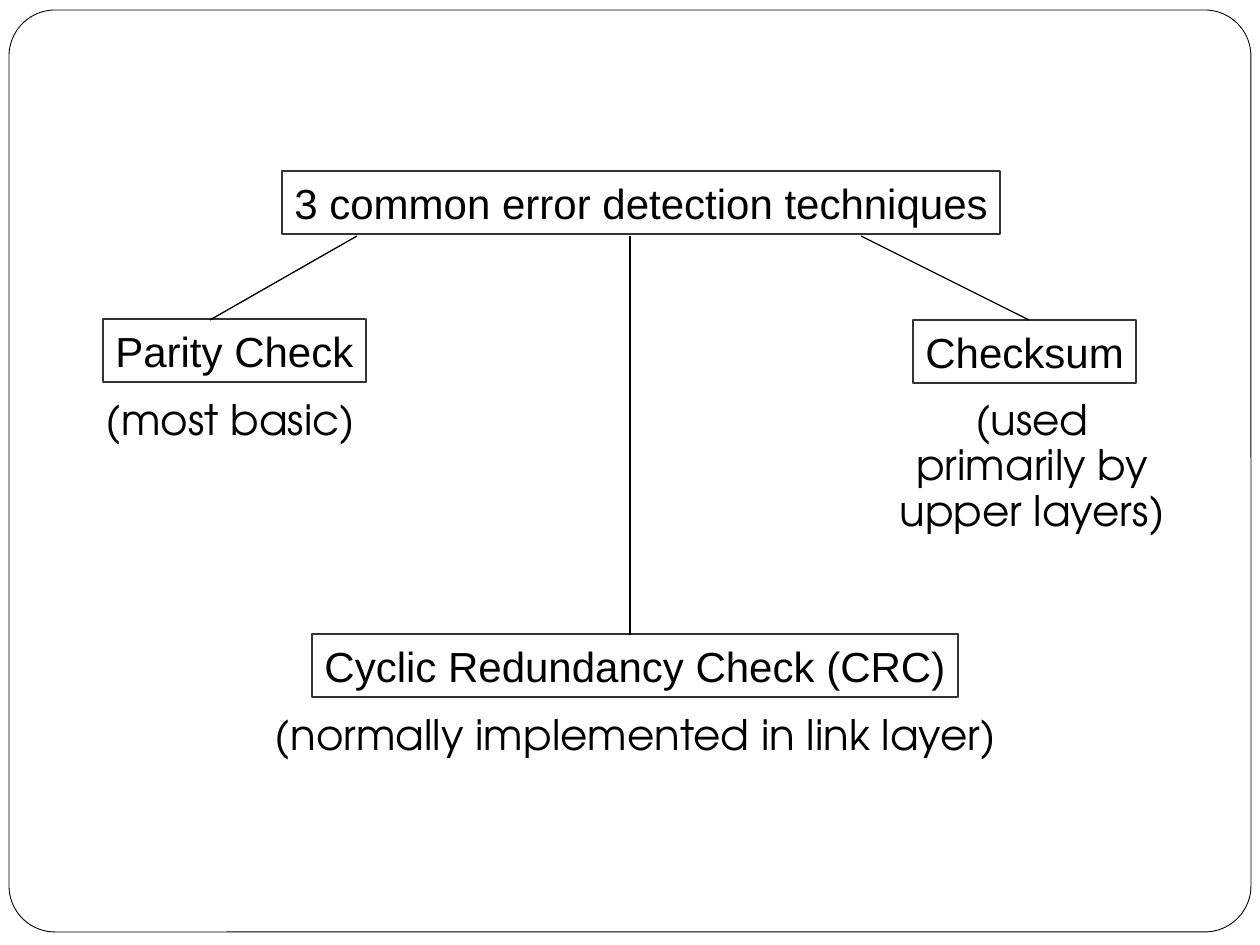
import pptx
import pptx.util
import pptx.dml.color
import pptx.enum.shapes
import pptx.enum.text
import pptx.oxml.ns
from lxml import etree

BLACK = pptx.dml.color.RGBColor(0x00, 0x00, 0x00)
GREY = pptx.dml.color.RGBColor(0x33, 0x33, 0x33)
WHITE = pptx.dml.color.RGBColor(0xFF, 0xFF, 0xFF)

FRAME = (9, 10, 1242, 922)
CAPTIONS = [
    ("(normally implemented in link layer)", 231, 708, 809, 58),
    ("(used primarily by upper layers)", 879, 393, 306, 199),
    ("(most basic)", 73, 393, 315, 58),
]
BOX_HEIGHT = 63
BOXES = [
    ("3 common error detection techniques", 282, 171, 718),
    ("Parity Check", 103, 319, 263),
    ("Cyclic Redundancy Check (CRC)", 312, 634, 646),
    ("Checksum", 913, 320, 223),
]
BRANCH_TOP = 236
BRANCHES = [(630, 630, 635), (357, 210, 320), (861, 1029, 320)]


def px(*values):
    return [pptx.util.Emu(round(v * 914400 / 126)) for v in values]


def write(s, text, font):
    tf = s.text_frame
    tf.word_wrap = True
    tf.auto_size = pptx.enum.text.MSO_AUTO_SIZE.SHAPE_TO_FIT_TEXT
    tf.vertical_anchor = pptx.enum.text.MSO_ANCHOR.TOP
    p = tf.paragraphs[0]
    p.text = text
    p.font.name = font
    p.font.size = pptx.util.Pt(24)
    p.font.color.rgb = BLACK
    return p


def add_shape(shapes, kind, place, line, width):
    s = shapes.add_shape(kind, *px(*place))
    s.shadow.inherit = False
    s.line.color.rgb = line
    s.line.width = pptx.util.Pt(width)
    return s


def main():
    prs = pptx.Presentation()
    prs.slide_width, prs.slide_height = px(1260, 945)
    shapes = prs.slides.add_slide(prs.slide_layouts[6]).shapes
    kinds = pptx.enum.shapes.MSO_SHAPE

    frame = add_shape(shapes, kinds.ROUNDED_RECTANGLE, FRAME, BLACK, 0.5)
    frame.adjustments[0] = 0.05
    frame.fill.solid()
    frame.fill.fore_color.rgb = WHITE

    for text, *place in CAPTIONS:
        s = shapes.add_textbox(*px(*place))
        p = write(s, text, "TeX Gyre Adventor")
        p.alignment = pptx.enum.text.PP_ALIGN.CENTER
        p.line_spacing = 0.9

    for text, *place in BOXES:
        s = add_shape(shapes, kinds.RECTANGLE, (*place, BOX_HEIGHT), GREY, 0.75)
        s.fill.background()
        s.text_frame.margin_right = 0
        p = write(s, text, "Arial")
        p.alignment = pptx.enum.text.PP_ALIGN.LEFT

    for x1, x2, bottom in BRANCHES:
        s = shapes.add_connector(
            pptx.enum.shapes.MSO_CONNECTOR.STRAIGHT, *px(x1, BRANCH_TOP, x2, bottom))
        s.line.color.rgb = BLACK
        s.line.width = pptx.util.Pt(0.75)
        etree.SubElement(s._element.spPr, pptx.oxml.ns.qn("a:effectLst"))

    prs.save("out.pptx")


if __name__ == "__main__":
    main()
